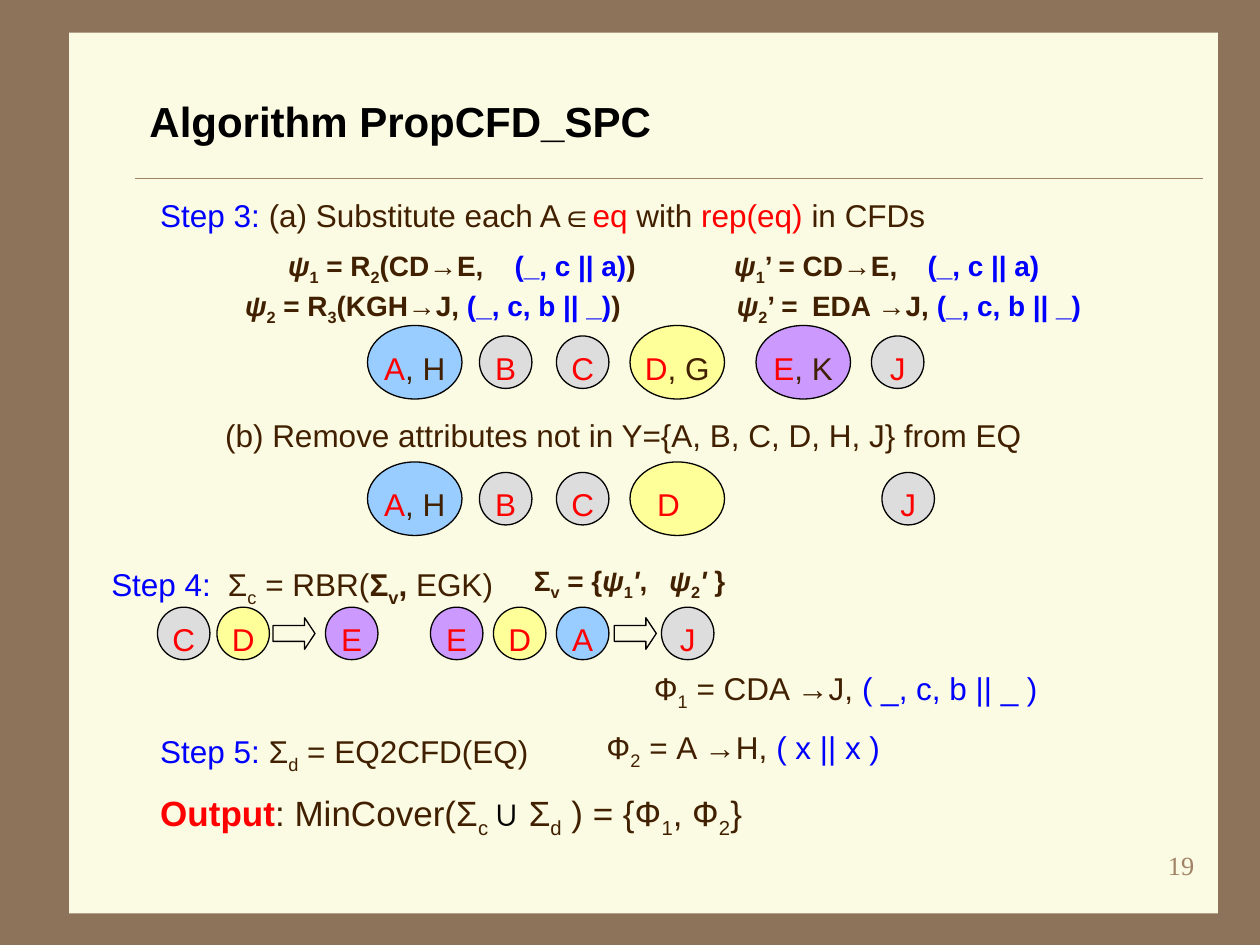
from lxml import etree
from pptx import Presentation
from pptx.dml.color import RGBColor
from pptx.enum import shapes, text
from pptx.oxml import ns
from pptx.util import Pt

BROWN = RGBColor(0x8C, 0x73, 0x5A)
CREAM = RGBColor(0xFB, 0xFA, 0xE2)
TAN = RGBColor(0xA0, 0x83, 0x66)
BLACK = RGBColor(0, 0, 0)
GRAY = RGBColor(0xDD, 0xDD, 0xDD)
YELLOW = RGBColor(0xFF, 0xFF, 0x99)
PURPLE = RGBColor(0xCC, 0x99, 0xFF)
SKY = RGBColor(0x99, 0xCC, 0xFF)
DARK = RGBColor(0x40, 0x20, 0x00)
BLUE = RGBColor(0, 0, 0xFF)
RED = RGBColor(0xFF, 0, 0)

# Style words used by the runs below
STYLES = {
    "bold": {"bold": True}, "italic": {"italic": True},
    "black": {"color": BLACK}, "blue": {"color": BLUE},
    "red": {"color": RED}, "tan": {"color": TAN},
    "serif": {"name": "Times New Roman"},
}

# (left, top, width, height), size, line spacing, tab stop or None, words for all runs, runs
TITLE = ((77.8, 36, 612, 65.5), 24, 1, None, "bold black", [("Algorithm PropCFD_SPC", "")])
TEXTS = [
    ((84, 102, 546, 34), 18, 1.2, None, "", [
        ("Step 3:", "blue"), (" (a) Substitute each A∈", ""), ("eq", "red"),
        (" with ", ""), ("rep(eq)", "red"), (" in CFDs", "")]),
    ((157, 132, 239, 34), 16, 1.2, 129.4, "bold", [
        ("ψ", "italic"), ("1", "sub"), (" = R", ""), ("2", "sub"), ("(CD→E,\t", ""),
        ("(_, c || a)", "blue"), (")", "")]),
    ((132.5, 155, 283, 34), 16, 1.2, None, "bold", [
        ("ψ", "italic"), ("2", "sub"), (" = R", ""), ("3", "sub"), ("(KGH→J, ", ""),
        ("(_, c, b || _)", "blue"), (")", "")]),
    ((412, 132, 210, 34), 16, 1.2, 110.5, "bold", [
        ("ψ", "italic"), ("1", "sub"), ("’ = CD→E,\t", ""), ("(_, c || a)", "blue")]),
    ((413.5, 155, 240, 34), 16, 1.2, 43, "bold", [
        ("ψ", "italic"), ("2", "sub"), ("’ =\tEDA →J, ", ""), ("(_, c, b || _)", "blue")]),
    ((121, 228, 528, 34), 18, 1.2, None, "", [
        ("(b) Remove attributes not in Y={A, B, C, D, H, J} from EQ", "")]),
    ((56, 312.5, 291, 37), 18, 1.2, 66.7, "", [
        ("Step 4:\t", "blue"), ("Σ", ""), ("c", "sub"), (" = RBR(", ""), ("Σ", "bold"),
        ("v", "bold sub"), (",", "bold"), (" EGK)", "")]),
    ((297.5, 312, 180, 34), 16, 1.2, 77.5, "bold", [
        ("Σ", ""), ("v", "sub"), (" = {", ""), ("ψ", "italic"), ("1", "sub"),
        ("'", "italic"), (",\t", ""), ("ψ", "italic"), ("2", "sub"), ("' ", "italic"),
        ("}", "")]),
    ((366, 372, 318, 37), 18, 1.2, None, "", [
        ("Ф", ""), ("1", "sub"), (" = CDA →J, ", ""), ("( _, c, b || _ )", "blue")]),
    ((84, 408, 366, 37), 18, 1.2, None, "", [
        ("Step 5: ", "blue"), ("Σ", ""), ("d", "sub"), (" = EQ2CFD(EQ)", "")]),
    ((339, 408, 232, 35), 18, 1.1, None, "", [
        ("Ф", ""), ("2", "sub"), (" = A →H, ", ""), ("( x || x )", "blue")]),
    ((84, 444, 426, 42), 20, 1.1, None, "", [
        ("Output", "red bold"), (": MinCover(Σ", ""), ("c ", "sub"), ("∪ ", "black"),
        ("Σ", ""), ("d", "sub"), (" ) = {Ф", ""), ("1", "sub"), (", Ф", ""),
        ("2", "sub"), ("}", "")]),
]
PAGE_NUMBER = ((540, 480, 150, 36), 15, 1, None, "serif tan", [("19", "")])

SMALL, LARGE = (30, 30), (54, 42)
# (row centre, [(left, size, fill, representative, other members)])
NODE_ROWS = [
    (207, [(210, LARGE, SKY, "A", ", H"), (274, SMALL, GRAY, "B", ""),
           (318, SMALL, GRAY, "C", ""), (360, LARGE, YELLOW, "D", ", G"),
           (432, LARGE, PURPLE, "E", ", K"), (498, SMALL, GRAY, "J", "")]),
    (285, [(210, LARGE, SKY, "A", ", H"), (274, SMALL, GRAY, "B", ""),
           (318, SMALL, GRAY, "C", ""), (360, LARGE, YELLOW, "D", ""),
           (504, SMALL, GRAY, "J", "")]),
    (362, [(90, SMALL, GRAY, "C", ""), (124, SMALL, YELLOW, "D", ""),
           (186, SMALL, PURPLE, "E", ""), (246, SMALL, PURPLE, "E", ""),
           (282, SMALL, YELLOW, "D", ""), (318, SMALL, SKY, "A", ""),
           (378, SMALL, GRAY, "J", "")]),
]
ARROW_LEFTS = (156, 351)
ARROW_CENTRE, ARROW_SIZE = 362, (24, 18)


def set_values(target, **values):
    for name, value in values.items():
        setattr(target, name, value)


def write_runs(paragraph, runs, size, common=""):
    for content, words in runs:
        run = paragraph.add_run()
        run.text = content
        values = {"name": "Arial", "size": Pt(size), "bold": False, "color": DARK}
        for word in f"{common} {words}".split():
            values.update(STYLES.get(word, {}))
        run.font.color.rgb = values.pop("color")
        set_values(run.font, **values)
        if "sub" in words.split():
            run.font._element.set("baseline", "-25000")


def add_text(slide, entry, top_margin=5.6, **paragraph_values):
    place, size, spacing, tab, common, runs = entry
    frame = slide.shapes.add_textbox(*map(Pt, place)).text_frame
    set_values(frame, word_wrap=True, margin_left=Pt(7.6), margin_right=Pt(7.6),
               margin_top=Pt(top_margin), margin_bottom=Pt(3.6))
    paragraph = frame.paragraphs[0]
    set_values(paragraph, line_spacing=spacing, **paragraph_values)
    if tab:
        tabs = etree.SubElement(paragraph._p.get_or_add_pPr(), ns.qn("a:tabLst"))
        etree.SubElement(tabs, ns.qn("a:tab"), pos=str(Pt(tab)), algn="l")
    write_runs(paragraph, runs, size, common)
    return frame


def add_shape(slide, kind, place, fill=None, line=None):
    shape = slide.shapes.add_shape(kind, *map(Pt, place))
    shape.shadow.inherit = False
    if fill is None:
        shape.fill.background()
    else:
        shape.fill.solid()
        shape.fill.fore_color.rgb = fill
    if line is None:
        shape.line.fill.background()
    else:
        shape.line.color.rgb = line
        shape.line.width = Pt(0.75)
    return shape


def add_node(slide, centre, left, size, fill, representative, others):
    width, height = size
    place = (left, centre - height / 2, width, height)
    frame = add_shape(slide, shapes.MSO_SHAPE.OVAL, place, fill, BLACK).text_frame
    # A lone representative in a large oval keeps its place at the left
    at_left = size == LARGE and not others
    set_values(frame, word_wrap=at_left, vertical_anchor=text.MSO_ANCHOR.MIDDLE,
               margin_left=Pt(7.6 if at_left else 0), margin_right=0,
               margin_top=Pt(5.6), margin_bottom=Pt(3.6))
    paragraph = frame.paragraphs[0]
    set_values(paragraph, line_spacing=1.2,
               alignment=text.PP_ALIGN.LEFT if at_left else text.PP_ALIGN.CENTER)
    runs = [(representative, "red")] + ([(others, "")] if others else [])
    write_runs(paragraph, runs, 18)


def main():
    presentation = Presentation()
    set_values(presentation, slide_width=Pt(720), slide_height=Pt(540))
    slide = presentation.slides.add_slide(presentation.slide_layouts[6])
    slide.background.fill.solid()
    slide.background.fill.fore_color.rgb = BROWN

    add_shape(slide, shapes.MSO_SHAPE.RECTANGLE, (39.5, 18.7, 656.5, 503.3), CREAM)
    rule = slide.shapes.add_connector(shapes.MSO_CONNECTOR.STRAIGHT,
                                      Pt(77.2), Pt(102), Pt(687.5), Pt(102))
    rule.line.color.rgb = TAN
    rule.line.width = Pt(0.25)
    etree.SubElement(rule._element.spPr, ns.qn("a:effectLst"))

    title = add_text(slide, TITLE, top_margin=3.6)
    title.vertical_anchor = text.MSO_ANCHOR.MIDDLE
    for entry in TEXTS:
        add_text(slide, entry)
    for centre, nodes in NODE_ROWS:
        for node in nodes:
            add_node(slide, centre, *node)
    width, height = ARROW_SIZE
    for left in ARROW_LEFTS:
        arrow = add_shape(slide, shapes.MSO_SHAPE.RIGHT_ARROW,
                          (left, ARROW_CENTRE - height / 2, width, height), line=BLACK)
        arrow.adjustments[1] = 0.33
    add_text(slide, PAGE_NUMBER, alignment=text.PP_ALIGN.RIGHT)
    presentation.save("out.pptx")


if __name__ == "__main__":
    main()
